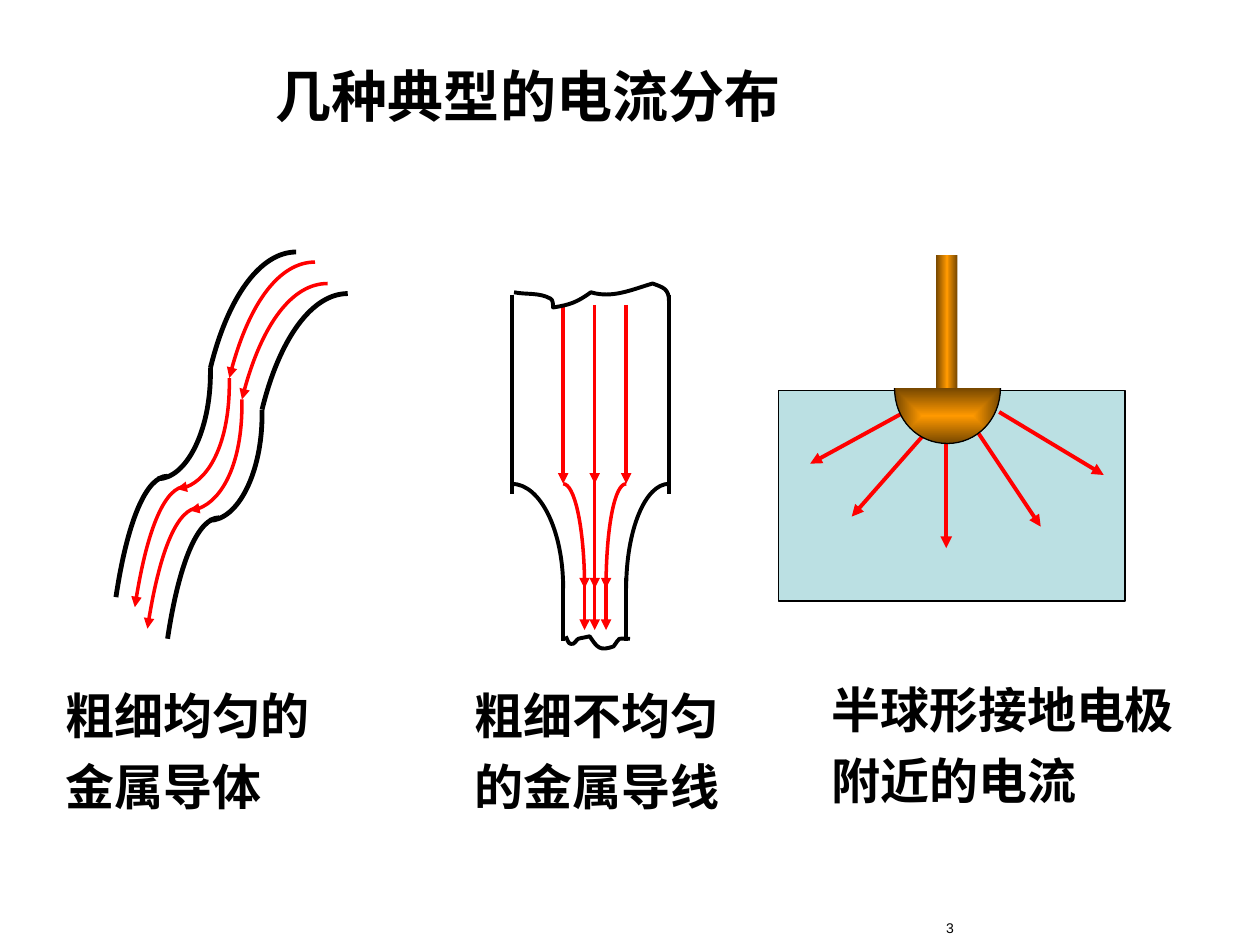
import copy

import lxml.etree
import pptx
import pptx.dml.color
import pptx.enum.shapes
import pptx.enum.text
import pptx.oxml.ns
import pptx.util

PX = 9144
BLACK = "000000"
RED = "FF0000"
qn = pptx.oxml.ns.qn


def color(value):
    return pptx.dml.color.RGBColor.from_string(value)


def style_line(shape, line_color, width, arrow=False):
    shape.line.color.rgb = color(line_color)
    shape.line.width = pptx.util.Pt(width)
    if arrow:
        lxml.etree.SubElement(shape.line._ln, qn("a:tailEnd"), type="triangle")
    lxml.etree.SubElement(shape._element.spPr, qn("a:effectLst"))


presentation = pptx.Presentation()
presentation.slide_width = 1000 * PX
presentation.slide_height = 750 * PX
slide = presentation.slides.add_slide(presentation.slide_layouts[5])
shapes = slide.shapes

title = shapes.title
number = shapes.add_textbox(0, 0, 0, 0)
captions = [shapes.add_textbox(0, 0, 0, 0) for _ in range(3)]
left = pptx.enum.text.PP_ALIGN.LEFT
right = pptx.enum.text.PP_ALIGN.RIGHT
top = pptx.enum.text.MSO_ANCHOR.TOP
middle = pptx.enum.text.MSO_ANCHOR.MIDDLE
title_font = {"name": "Times New Roman", "size": pptx.util.Pt(32), "bold": True}
caption_font = {**title_font, "size": pptx.util.Pt(28)}
number_font = {"name": "Arial", "size": pptx.util.Pt(8)}
texts = [
    (title, "几种典型的电流分布", (209, 44, 708, 63), title_font, left, middle, 1),
    (number, "3", (675, 725, 92, 25), number_font, right, top, 1),
    (captions[0], "粗细均匀的金属导体", (42, 530, 217, 122), caption_font, left, top, 1.2),
    (captions[1], "粗细不均匀的金属导线", (367, 530, 233, 122), caption_font, left, top, 1.2),
    (captions[2], "半球形接地电极附近的电流", (650, 525, 292, 122), caption_font, left, top, 1.2),
]
for shape, text, box, font_format, alignment, anchor, spacing in texts:
    for name, value in zip(("left", "top", "width", "height"), box):
        setattr(shape, name, value * PX)
    frame = shape.text_frame
    frame_format = {
        "text": text,
        "word_wrap": True,
        "auto_size": pptx.enum.text.MSO_AUTO_SIZE.NONE,
        "vertical_anchor": anchor,
    }
    for name, value in frame_format.items():
        setattr(frame, name, value)
    paragraph = frame.paragraphs[0]
    paragraph.alignment = alignment
    paragraph.line_spacing = spacing
    font = paragraph.runs[0].font
    for name, value in font_format.items():
        setattr(font, name, value)
    font.color.rgb = color(BLACK)

rectangle = pptx.enum.shapes.MSO_SHAPE.RECTANGLE
ground = shapes.add_shape(rectangle, 618 * PX, 310 * PX, 275 * PX, 167 * PX)
ground.fill.solid()
ground.fill.fore_color.rgb = color("BBE0E3")
style_line(ground, BLACK, 0.75)
rod = shapes.add_shape(rectangle, 743 * PX, 202 * PX, 17 * PX, 108 * PX)
rod.line.fill.background()
rod.shadow.inherit = False

lines = [
    (718, 327, 643, 368, RED, 2.25),
    (735, 343, 676, 410, RED, 2.25),
    (751, 352, 751, 435, RED, 2.25),
    (776, 343, 826, 418, RED, 2.25),
    (793, 327, 876, 377, RED, 2.25),
    (472, 350, 472, 467, RED, 2),
]
lines += [(x, 234, x, 392, BLACK, 2.25) for x in (406, 531)]
lines += [(x, 242, x, 384, RED, 2) for x in (447, 472, 497)]
lines += [(x, 459, x, 500, RED, 2) for x in (464, 472, 481)]
lines += [(x, 459, x, 509, BLACK, 2.25) for x in (447, 497)]
for x1, y1, x2, y2, line_color, width in lines:
    connector = shapes.add_connector(
        pptx.enum.shapes.MSO_CONNECTOR.STRAIGHT, x1 * PX, y1 * PX, x2 * PX, y2 * PX
    )
    style_line(connector, line_color, width, line_color == RED)

wire_edge = [
    [(235, 200), (207, 200), (181, 235), (167, 292)],
    [(167, 292), (167, 293), (167, 294), (167, 296), (167, 342), (148, 380), (125, 380)],
    [(133, 378), (116, 378), (101, 414), (92, 474)],
]
curves = []
for dx, dy, line_color, width in [
    (0, 0, BLACK, 2.75),
    (41, 33, BLACK, 2.75),
    (15, 8, RED, 2),
    (25, 25, RED, 2),
]:
    for points in wire_edge:
        curves.append(([(x + dx, y + dy) for x, y in points], line_color, width))

for start, end, line_color, width in [
    (406, 447, BLACK, 2.25),
    (531, 497, BLACK, 2.25),
    (447, 464, RED, 2),
    (497, 481, RED, 2),
]:
    bend = round(start + (end - start) * 0.55)
    curves.append(([(start, 384), (bend, 384), (end, 421), (end, 467)], line_color, width))

torn_top = [
    (408, 232), (418, 234), (428, 232), (437, 237), (439, 238), (439, 242), (439, 244),
    (452, 242), (458, 240), (469, 232), (486, 237), (501, 230), (518, 225),
    (526, 228), (531, 229), (531, 239),
]
torn_bottom = [
    (449, 505), (450, 507), (451, 511), (453, 511), (456, 512), (457, 508), (459, 507),
    (462, 506), (465, 506), (468, 505), (474, 514), (476, 517), (487, 513),
    (493, 505), (489, 507), (500, 507),
]
bowl_rim = [
    (794, 308), (794, 333), (775, 352), (752, 352), (728, 352), (710, 333), (710, 308),
]
curves += [
    (torn_top, BLACK, 2.25),
    (torn_bottom, BLACK, 2.25),
    (bowl_rim, BLACK, 0.75),
]
for points, line_color, width in curves:
    builder = shapes.build_freeform(*points[0], scale=PX)
    builder.add_line_segments(points[1:], close=False)
    curve = builder.convert_to_shape()
    segments = list(curve._element.iter(qn("a:lnTo")))
    for first in range(0, len(segments), 3):
        bezier = lxml.etree.Element(qn("a:cubicBezTo"))
        segments[first].addprevious(bezier)
        for segment in segments[first:first + 3]:
            bezier.append(segment[0])
            segment.getparent().remove(segment)
    curve.fill.background()
    style_line(curve, line_color, width, line_color == RED)
bowl = curve

for shape, stops in [
    (rod, [(0, "764700"), (0.5, "FF9900"), (1, "764700")]),
    (bowl, [(0, "FF9900"), (1, "764700")]),
]:
    shape.fill.gradient()
    shape.fill.gradient_angle = 0
    stop_list = shape._element.spPr.find(qn("a:gradFill"))[0]
    while len(stop_list) < len(stops):
        stop_list.append(copy.deepcopy(stop_list[0]))
    for stop, (position, value) in zip(shape.fill.gradient_stops, stops):
        stop.position = position
        stop.color.rgb = color(value)

gradient = bowl._element.spPr.find(qn("a:gradFill"))
gradient.remove(gradient.find(qn("a:lin")))
shade = lxml.etree.Element(qn("a:path"), path="rect")
lxml.etree.SubElement(shade, qn("a:fillToRect"), l="50000", t="50000", r="50000", b="50000")
gradient[0].addnext(shade)

presentation.save("out.pptx")
